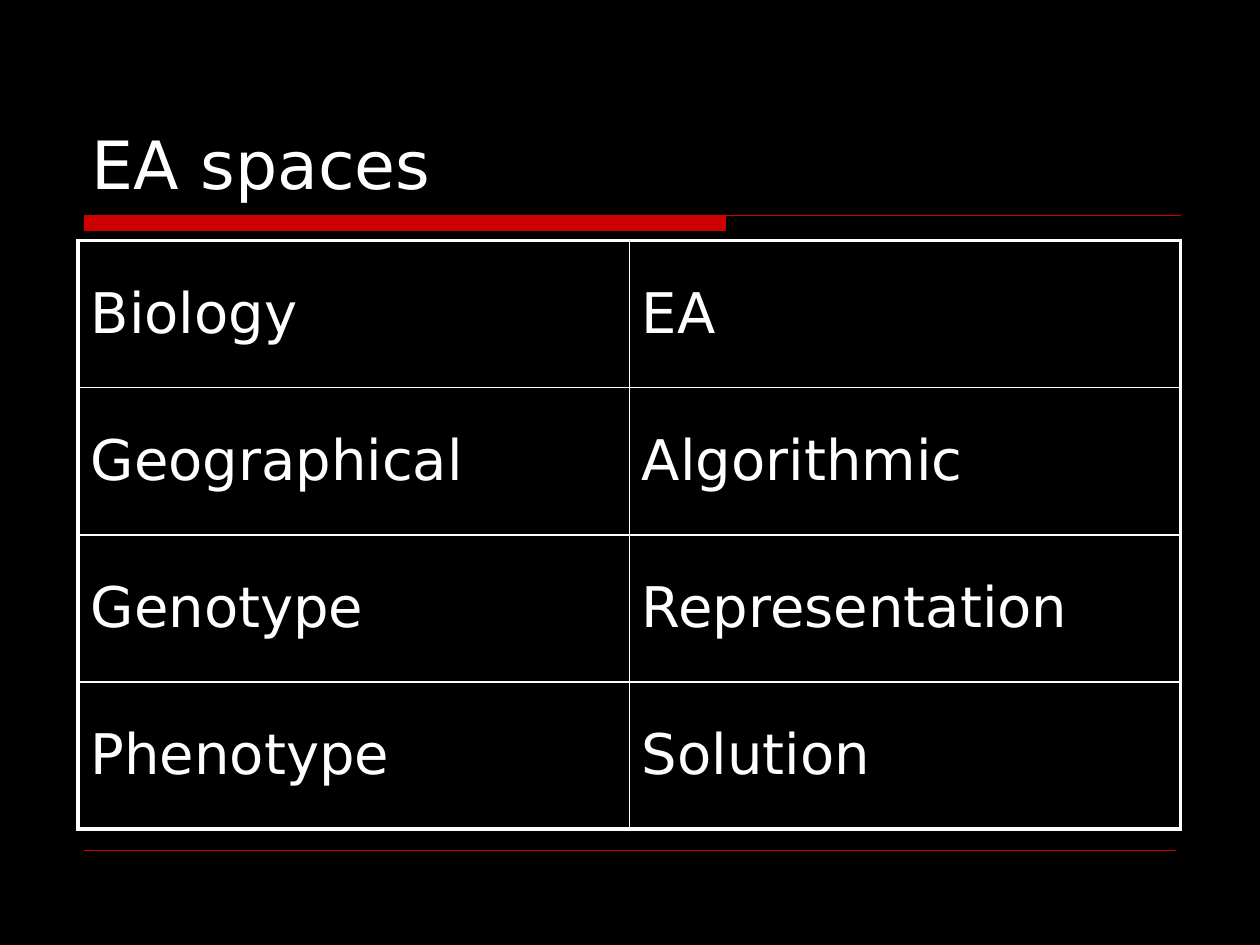
from lxml.etree import SubElement
from pptx import Presentation
from pptx.dml.color import RGBColor
from pptx.enum.shapes import MSO_CONNECTOR
from pptx.enum.text import MSO_ANCHOR, MSO_AUTO_SIZE, PP_ALIGN
from pptx.oxml.ns import qn
from pptx.util import Inches, Pt

BLACK = RGBColor(0x00, 0x00, 0x00)
WHITE = RGBColor(0xFF, 0xFF, 0xFF)
RED = RGBColor(0xCC, 0x00, 0x00)

ROWS = [
    ("Biology", "EA"),
    ("Geographical", "Algorithmic"),
    ("Genotype", "Representation"),
    ("Phenotype", "Solution"),
]


class SlideBuilder:
    font = "DejaVu Sans"
    outer, inner = 2.25, 1

    def __init__(self, prs):
        self.s = prs.slides.add_slide(prs.slide_layouts[5])
        self.s.background.fill.solid()
        self.s.background.fill.fore_color.rgb = BLACK

    def style(self, p, size):
        p.alignment = PP_ALIGN.LEFT
        p.font.name = self.font
        p.font.size = Pt(size)
        p.font.color.rgb = WHITE

    def title(self, text, left, top, width, height):
        sp = self.s.shapes.title
        sp.left, sp.top = Inches(left), Inches(top)
        sp.width, sp.height = Inches(width), Inches(height)
        tf = sp.text_frame
        tf.text = text
        tf.word_wrap = True
        tf.auto_size = MSO_AUTO_SIZE.NONE
        tf.vertical_anchor = MSO_ANCHOR.BOTTOM
        self.style(tf.paragraphs[0], 38)

    def title_bar(self, left, top, bar_right, rule_right, height):
        x, y = Inches(left), Inches(top)
        right, bottom = Inches(bar_right), Inches(top + height)
        fb = self.s.shapes.build_freeform(x, y)
        fb.add_line_segments([(right, y), (right, bottom), (x, bottom)])
        fb.move_to(x, y)
        fb.add_line_segments([(Inches(rule_right), y)], close=False)
        sp = fb.convert_to_shape()
        sp.shadow.inherit = False
        sp.fill.solid()
        sp.fill.fore_color.rgb = RED
        sp.line.color.rgb = RED
        sp.line.width = Pt(0.75)

    def rule(self, left, right, y):
        line = self.s.shapes.add_connector(
            MSO_CONNECTOR.STRAIGHT, Inches(left), Inches(y), Inches(right), Inches(y))
        line.line.color.rgb = RED
        line.line.width = Pt(0.25)
        SubElement(line._element.spPr, qn("a:effectLst"))

    def borders(self, cell, widths):
        tc_pr = cell._tc.get_or_add_tcPr()
        for side, width in widths.items():
            ln = SubElement(tc_pr, qn(f"a:ln{side}"), w=str(Pt(width)))
            fill = SubElement(ln, qn("a:solidFill"))
            SubElement(fill, qn("a:srgbClr"), val=str(WHITE))

    def table(self, rows, left, top, width, height):
        n_rows, n_cols = len(rows), len(rows[0])
        table = self.s.shapes.add_table(
            n_rows, n_cols, Inches(left), Inches(top), Inches(width), Inches(height)).table
        table.first_row = table.horz_banding = False
        for i, row in enumerate(rows):
            for j, text in enumerate(row):
                cell = table.cell(i, j)
                cell.text = text
                cell.vertical_anchor = MSO_ANCHOR.MIDDLE
                self.style(cell.text_frame.paragraphs[0], 32)
                edges = {"L": j == 0, "R": j == n_cols - 1,
                         "T": i == 0, "B": i == n_rows - 1}
                self.borders(cell, {side: self.outer if edge else self.inner
                                    for side, edge in edges.items()})
                cell.fill.background()


def main():
    prs = Presentation()
    prs.slide_width, prs.slide_height = Inches(10), Inches(7.5)
    slide = SlideBuilder(prs)
    slide.title_bar(0.67, 1.71, 5.76, 9.37, 0.12)
    slide.rule(0.67, 9.33, 6.75)
    slide.title("EA spaces", 0.63, 0.33, 8.75, 1.33)
    slide.table(ROWS, 0.62, 1.91, 8.75, 4.67)
    prs.save("out.pptx")


if __name__ == "__main__":
    main()
